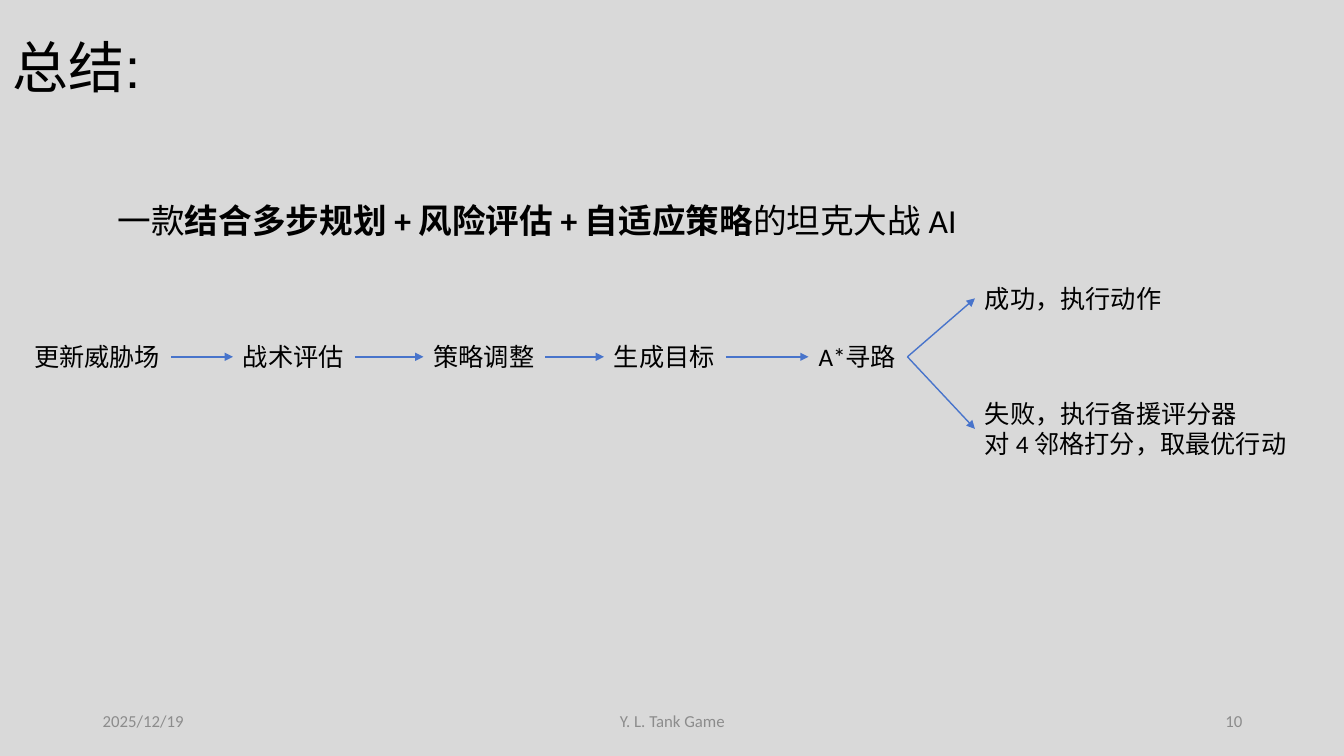
from lxml import etree
from pptx import Presentation
from pptx.dml.color import RGBColor
from pptx.enum import shapes, text
from pptx.oxml.ns import qn
from pptx.util import Inches, Pt

COLORS = {"bg": "D9D9D9", "ink": "000000", "muted": "8C8C8C", "arrow": "4874CB"}
LEFT, CENTER, RIGHT = text.PP_ALIGN.LEFT, text.PP_ALIGN.CENTER, text.PP_ALIGN.RIGHT

# Content: each paragraph is a list of (text, bold) runs
TITLE = [[("总结:", False)]]
SUMMARY = [[("一款", False), ("结合多步规划 + 风险评估 + 自适应策略", True),
            ("的坦克大战 AI", False)]]
# label, left, width
STEPS = [
    ("更新威胁场", 0.24, 1.46),
    ("战术评估", 2.31, 1.21),
    ("策略调整", 4.2, 1.21),
    ("生成目标", 5.99, 1.21),
    ("A*寻路", 8.02, 0.98),
]
# lines, top, width, height
OUTCOMES = [
    (["成功，执行动作"], 2.76, 1.97, 0.4),
    (["失败，执行备援评分器", "对 4 邻格打分，取最优行动"], 3.9, 3.22, 0.71),
]
# text, left, width, alignment
FOOTER = [
    ("2025/12/19", 0.92, 3, LEFT),
    ("Y. L. Tank Game", 4.42, 4.5, CENTER),
    ("10", 9.42, 3, RIGHT),
]
STEP_TOP, ROW_H, OUTCOME_LEFT, FOOTER_TOP = 3.34, 0.4, 9.67, 6.95

prs = Presentation()
prs.slide_width, prs.slide_height = Inches(13.33), Inches(7.5)
s = prs.slides.add_slide(prs.slide_layouts[6])
s.background.fill.solid()
s.background.fill.fore_color.rgb = RGBColor.from_string(COLORS["bg"])


def add_text(paragraphs, left, top, width, height, size=18, font="Calibri",
             color="ink", align=LEFT, middle=False, spacing=None):
    sp = s.shapes.add_textbox(*map(Inches, (left, top, width, height)))
    tf = sp.text_frame
    tf.word_wrap = True
    tf.vertical_anchor = text.MSO_ANCHOR.MIDDLE if middle else text.MSO_ANCHOR.TOP
    for i, runs in enumerate(paragraphs):
        p = tf.add_paragraph() if i else tf.paragraphs[0]
        p.alignment = align
        p.line_spacing = spacing
        for words, bold in runs:
            r = p.add_run()
            r.text = words
            r.font.size, r.font.name, r.font.bold = Pt(size), font, bold
            r.font.color.rgb = RGBColor.from_string(COLORS[color])
    return sp


def add_arrow(start, end):
    """Join the right side of one box to the left side of another."""
    cx = s.shapes.add_connector(shapes.MSO_CONNECTOR.STRAIGHT, 0, 0, 0, 0)
    cx.begin_connect(start, 3)
    cx.end_connect(end, 1)
    cx.line.width = Pt(1)
    cx.line.color.rgb = RGBColor.from_string(COLORS["arrow"])
    etree.SubElement(cx.line._get_or_add_ln(), qn("a:tailEnd"), type="triangle")
    etree.SubElement(cx._element.spPr, qn("a:effectLst"))


# Title and summary
add_text(TITLE, 0.03, -0.03, 11.5, 1.45, size=40, font="Arial", middle=True, spacing=0.9)
add_text(SUMMARY, 1.07, 1.93, 8.6, 0.5, size=24)

# Flow of steps, then the two outcomes of the last step
steps = [add_text([[(label, False)]], left, STEP_TOP, width, ROW_H)
         for label, left, width in STEPS]
outcomes = [add_text([[(line, False)] for line in lines], OUTCOME_LEFT, top, width, height)
            for lines, top, width, height in OUTCOMES]
for start, end in zip(steps, steps[1:]):
    add_arrow(start, end)
for outcome in outcomes:
    add_arrow(steps[-1], outcome)

# Footer
for words, left, width, align in FOOTER:
    add_text([[(words, False)]], left, FOOTER_TOP, width, ROW_H,
             size=12, color="muted", align=align, middle=True)

prs.save("out.pptx")
